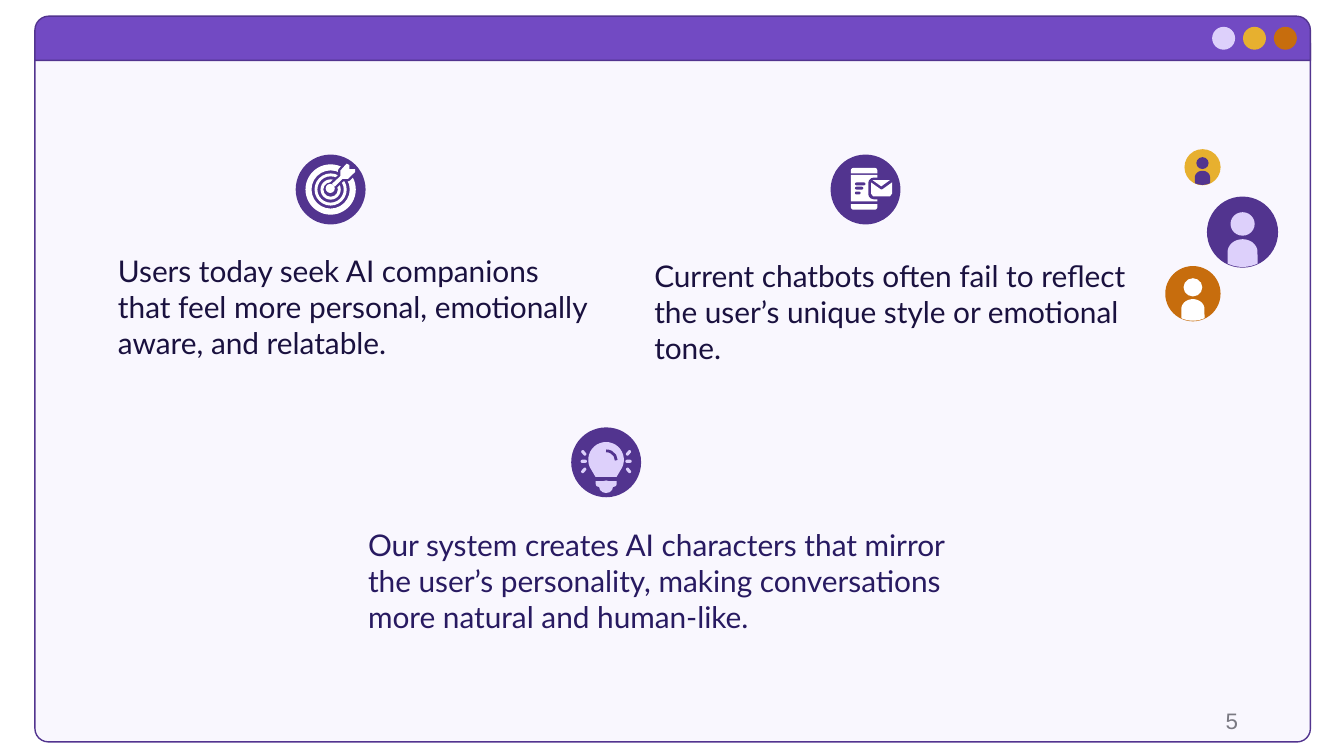
import dataclasses
import math

import pptx
import pptx.dml.color
import pptx.enum.shapes
import pptx.enum.text
import pptx.oxml
import pptx.oxml.ns
import pptx.util

COLORS = {
    "violet": "724AC3", "purple": "52348F", "lilac": "DDD0FB",
    "gold": "E7B02F", "orange": "C76D0D", "white": "FFFFFF",
    "ink": "1A113F", "indigo": "281A61", "gray": "7A7982",
}
SHAPES = pptx.enum.shapes.MSO_SHAPE
CELL = pptx.util.Inches(10) / 200
WHOLE = (0, 0, 1, 1)


@dataclasses.dataclass
class Box:
    left: float
    top: float
    width: float
    height: float

    def inner(self, left, top, width, height):
        return Box(self.left + left * self.width, self.top + top * self.height,
                   width * self.width, height * self.height)

    def lengths(self):
        return [round(value * CELL) for value in dataclasses.astuple(self)]


def color(name):
    return pptx.dml.color.RGBColor.from_string(COLORS[name])


def apply(target, values):
    for name, value in values.items():
        setattr(target, name, value)


def paint(shape, fill=None, line=None, weight=0.75):
    shape.shadow.inherit = False
    if fill:
        shape.fill.solid()
        shape.fill.fore_color.rgb = color(fill)
    else:
        shape.fill.background()
    if line:
        shape.line.color.rgb = color(line)
        shape.line.width = pptx.util.Pt(weight)
    else:
        shape.line.fill.background()
    return shape


def add_piece(slide, box, shares, kind, fill, adjustments=(), rotation=0, **line):
    shape = slide.shapes.add_shape(kind, *box.inner(*shares).lengths())
    for index, value in enumerate(adjustments):
        shape.adjustments[index] = value
    shape.rotation = rotation
    return paint(shape, fill, **line)


def add_outline(slide, box, points, fill, **line):
    places = [box.inner(x, y, 0, 0).lengths()[:2] for x, y in points]
    builder = slide.shapes.build_freeform(*places[0])
    builder.add_line_segments(places[1:], close=True)
    return paint(builder.convert_to_shape(), fill, **line)


def arc(center_y, radius_x, radius_y, start, end, steps=24):
    angles = [math.radians(start + (end - start) * step / steps) for step in range(steps + 1)]
    return [(0.5 + radius_x * math.cos(angle), center_y + radius_y * math.sin(angle))
            for angle in angles]


def add_text(slide, box, text, font, inset=0.1, anchor="TOP", align="LEFT"):
    frame = slide.shapes.add_textbox(*box.lengths()).text_frame
    apply(frame, {
        "word_wrap": True,
        "margin_top": pptx.util.Inches(inset),
        "margin_bottom": pptx.util.Inches(inset),
        "vertical_anchor": getattr(pptx.enum.text.MSO_ANCHOR, anchor),
    })
    paragraph = frame.paragraphs[0]
    paragraph.alignment = getattr(pptx.enum.text.PP_ALIGN, align)
    run = paragraph.add_run()
    run.text = text
    name, size, tone = font
    apply(run.font, {"name": name, "size": pptx.util.Pt(size)})
    run.font.color.rgb = color(tone)


def add_window(slide, box):
    body = add_piece(slide, box, (0, 0.037, 1, 0.963), SHAPES.ROUND_2_SAME_RECTANGLE,
                     "lilac", (0.019, 0), 180, line="purple")
    tint = body.element.find(".//" + pptx.oxml.ns.qn("a:srgbClr"))
    tint.append(pptx.oxml.parse_xml(
        '<a:alpha xmlns:a="http://schemas.openxmlformats.org/drawingml/2006/main" val="15000"/>'))
    add_piece(slide, box, (0, 0, 1, 0.061), SHAPES.ROUND_2_SAME_RECTANGLE,
              "violet", (0.312, 0), line="purple")
    for index, tone in enumerate(("lilac", "gold", "orange")):
        add_piece(slide, box, (0.923 + 0.0242 * index, 0.0148, 0.018, 0.0315), SHAPES.OVAL, tone)


def add_target_icon(slide, box):
    for size, thickness in ((0.72, 0.12), (0.46, 0.09), (0.29, 0.14)):
        margin = (1 - size) / 2
        add_piece(slide, box, (margin, margin, size, size), SHAPES.DONUT, "white", (thickness,))
    dart = [(0.73, 0.13), (0.64, 0.23), (0.64, 0.31), (0.52, 0.42), (0.56, 0.46), (0.67, 0.35),
            (0.75, 0.35), (0.85, 0.25), (0.85, 0.21), (0.77, 0.21), (0.77, 0.15)]
    add_outline(slide, box, dart, "purple", line="purple", weight=2.5)
    add_outline(slide, box, dart, "white")
    add_piece(slide, box, (0.43, 0.42, 0.13, 0.13), SHAPES.OVAL, "white")


def add_message_icon(slide, box):
    for top, rotation in ((0.19, 0), (0.71, 180)):
        add_piece(slide, box, (0.29, top, 0.38, 0.08), SHAPES.ROUND_2_SAME_RECTANGLE,
                  "white", (0.5, 0), rotation)
    add_piece(slide, box, (0.29, 0.29, 0.38, 0.38), SHAPES.RECTANGLE, "white")
    add_piece(slide, box, (0.54, 0.33, 0.38, 0.31), SHAPES.ROUNDED_RECTANGLE, "purple", (0.25,))
    for top, width in ((0.4, 0.15), (0.46, 0.12), (0.53, 0.08)):
        add_piece(slide, box, (0.35, top, width, 0.04), SHAPES.ROUNDED_RECTANGLE, "purple", (0.5,))
    add_piece(slide, box, (0.6, 0.365, 0.25, 0.09), SHAPES.FLOWCHART_MERGE, "white")
    envelope = [(0.58, 0.4), (0.72, 0.5), (0.74, 0.5), (0.88, 0.4), (0.88, 0.56),
                (0.85, 0.6), (0.61, 0.6), (0.58, 0.56)]
    add_outline(slide, box, envelope, "white")


def add_bulb_icon(slide, box):
    glass = arc(0.465, 0.255, 0.255, 145, 395) + [(0.65, 0.71), (0.35, 0.71)]
    add_outline(slide, box, glass, "lilac")
    add_piece(slide, box, (0.355, 0.335, 0.29, 0.27), SHAPES.ARC, None, line="purple", weight=1.5)
    add_piece(slide, box, (0.35, 0.77, 0.3, 0.08), SHAPES.ROUND_2_SAME_RECTANGLE,
              "lilac", (0.5, 0), 180)
    add_piece(slide, box, (0.4, 0.76, 0.2, 0.18), SHAPES.OVAL, "lilac")
    for center, turn in ((0.18, 1), (0.82, -1)):
        for middle, angle in ((0.365, 50), (0.485, 0), (0.615, -50)):
            add_piece(slide, box, (center - 0.045, middle - 0.022, 0.09, 0.045),
                      SHAPES.ROUNDED_RECTANGLE, "lilac", (0.5,), angle * turn)


def add_badge(slide, box, draw_icon):
    add_piece(slide, box, WHOLE, SHAPES.OVAL, "purple")
    draw_icon(slide, box)


def add_avatar(slide, box, disc, person):
    add_piece(slide, box, WHOLE, SHAPES.OVAL, disc)
    add_piece(slide, box, (0.33, 0.22, 0.34, 0.33), SHAPES.OVAL, person)
    body = arc(0.78, 0.21, 0.18, 180, 360) + arc(0.5, 0.49, 0.49, 64.6, 115.4)
    add_outline(slide, box, body, person)


def add_community(slide, box):
    for left, top, size, disc, person in (
            (0.37, 0.42, 0.63, "purple", "lilac"),
            (0.17, 0, 0.32, "gold", "purple"),
            (0, 1.035, 0.49, "orange", "white")):
        add_avatar(slide, box.inner(left, top, size, size), disc, person)


def main():
    presentation = pptx.Presentation()
    apply(presentation, {"slide_width": pptx.util.Inches(10),
                         "slide_height": pptx.util.Inches(5.625)})
    slide = presentation.slides.add_slide(presentation.slide_layouts[6])
    add_window(slide, Box(5.2, 2.4, 189.8, 108))
    points = (
        (Box(15.6, 35.6, 74.6, 19), Box(44, 23, 10.4, 10.4), add_target_icon, "ink", 0.1,
         "Users today seek AI companions that feel more personal, emotionally aware, "
         "and relatable."),
        (Box(95.4, 36.4, 74.6, 21), Box(123.6, 23, 10.4, 10.4), add_message_icon, "ink", 0.1,
         "Current chatbots often fail to reflect the user’s unique style or emotional tone."),
        (Box(52.8, 77.4, 90.2, 22.8), Box(85, 63.6, 10.4, 10.4), add_bulb_icon, "indigo", 0.05,
         "Our system creates AI characters that mirror the user’s personality, making "
         "conversations more natural and human-like."),
    )
    for text_box, badge_box, draw_icon, tone, inset, text in points:
        add_badge(slide, badge_box, draw_icon)
        add_text(slide, text_box, text, ("Lato", 16, tone), inset)
    add_community(slide, Box(173.4, 22.2, 16.8, 16.8))
    add_text(slide, Box(141.2, 104.2, 45, 6), "5", ("Arial", 12, "gray"), 0.05, "MIDDLE", "RIGHT")
    presentation.save("out.pptx")


if __name__ == "__main__":
    main()
